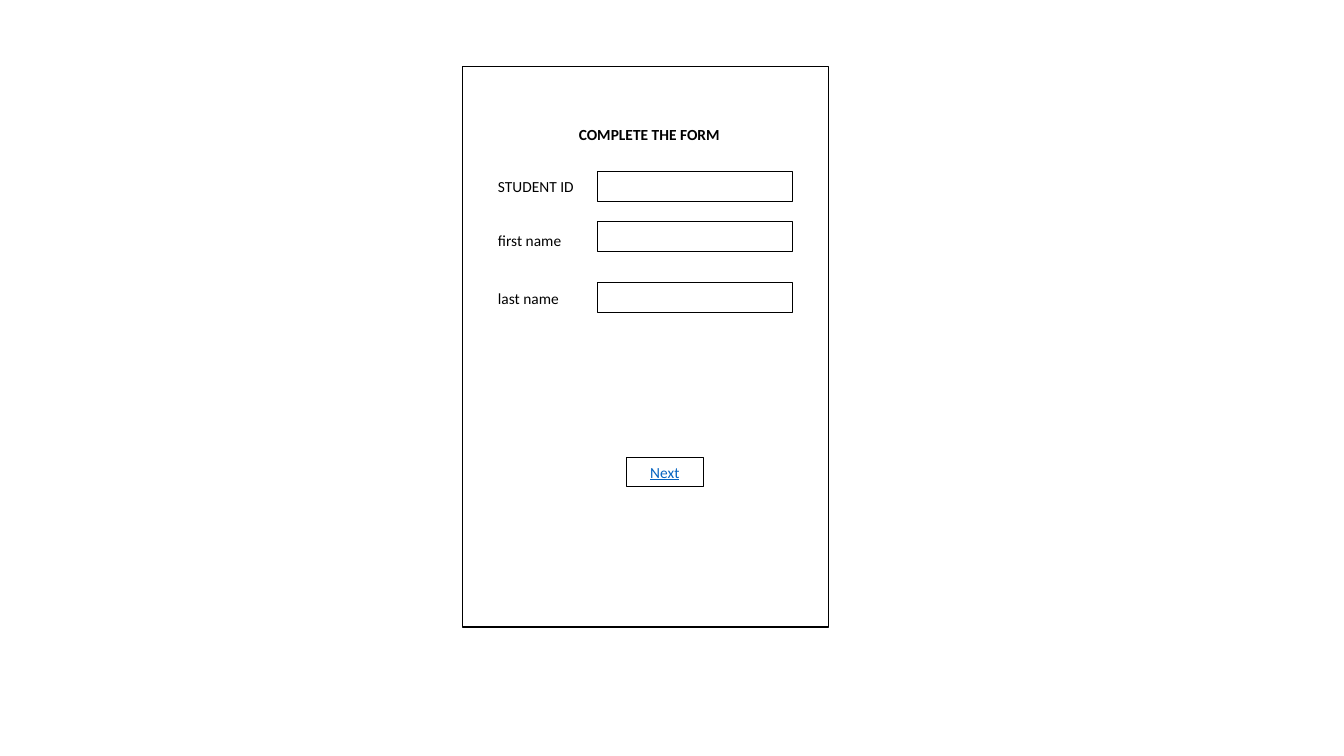
from pptx import Presentation
from pptx import util as u
from pptx.dml.color import RGBColor
from pptx.enum import shapes, text

COLORS = {"ink": "000000", "link": "0563C1"}
FIELDS = [
    ("STUDENT ID", 1.71, 1.7),
    ("first name", 2.24, 2.2),
    ("last name", 2.82, 2.8),
]


def write(target, words, color="ink", bold=False, underline=False,
          align=text.PP_ALIGN.LEFT, anchor=text.MSO_ANCHOR.TOP):
    frame = target.text_frame
    frame.word_wrap = True
    frame.auto_size = text.MSO_AUTO_SIZE.SHAPE_TO_FIT_TEXT
    frame.vertical_anchor = anchor
    paragraph = frame.paragraphs[0]
    paragraph.alignment = align
    run = paragraph.add_run()
    run.text = words
    run.font.name = "Calibri"
    run.font.size = u.Pt(11)
    run.font.bold = bold
    run.font.underline = underline
    run.font.color.rgb = RGBColor.from_string(COLORS[color])


class FormSlide:
    """Draws the parts of a form screen on one slide."""

    def __init__(self, deck):
        self.slide = deck.slides.add_slide(deck.slide_layouts[5])

    def heading(self, words, left, top, width, height):
        title = self.slide.shapes.title
        title.left, title.top = u.Inches(left), u.Inches(top)
        title.width, title.height = u.Inches(width), u.Inches(height)
        write(title, words, bold=True)

    def label(self, words, left, top, width, height):
        caption = self.slide.shapes.add_textbox(
            u.Inches(left), u.Inches(top), u.Inches(width), u.Inches(height))
        write(caption, words)

    def box(self, left, top, width, height, weight=0.75):
        outline = self.slide.shapes.add_shape(
            shapes.MSO_SHAPE.RECTANGLE,
            u.Inches(left), u.Inches(top), u.Inches(width), u.Inches(height))
        outline.shadow.inherit = False
        outline.fill.background()
        outline.line.color.rgb = RGBColor.from_string(COLORS["ink"])
        outline.line.width = u.Pt(weight)
        return outline

    def button(self, words, left, top, width, height):
        write(self.box(left, top, width, height), words, color="link",
              underline=True, align=text.PP_ALIGN.CENTER)


def main():
    deck = Presentation()
    deck.slide_width, deck.slide_height = u.Inches(13.33), u.Inches(7.5)
    form = FormSlide(deck)
    form.box(4.59, 0.66, 3.63, 5.56, weight=1)
    form.heading("COMPLETE THE FORM", 5.64, 1.19, 1.93, 0.29)
    for name, label_top, entry_top in FIELDS:
        form.label(name, 4.84, label_top, 1.93, 0.29)
        form.box(5.93, entry_top, 1.93, 0.3)
    form.button("Next", 6.21, 4.54, 0.77, 0.29)
    deck.save("out.pptx")


if __name__ == "__main__":
    main()
